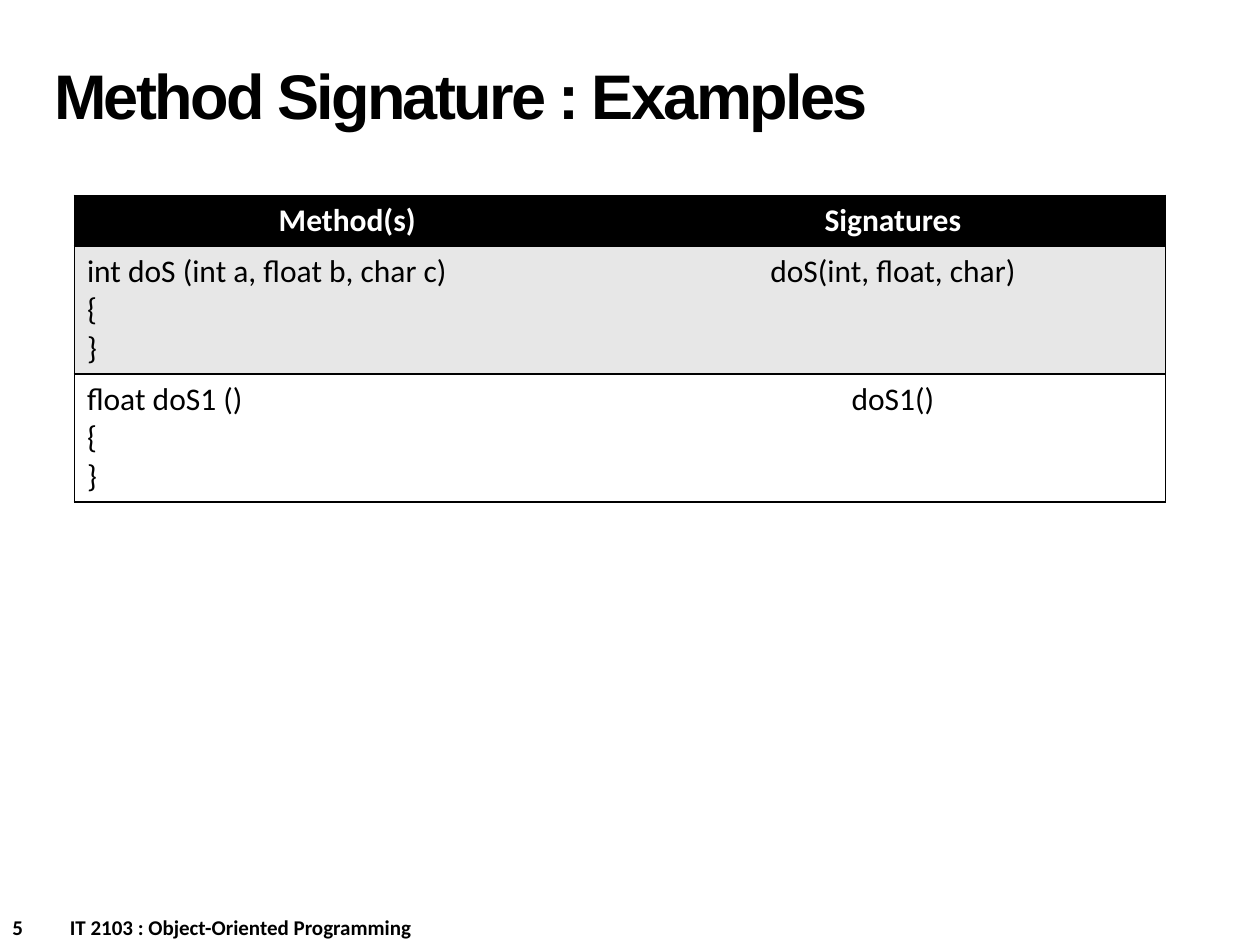
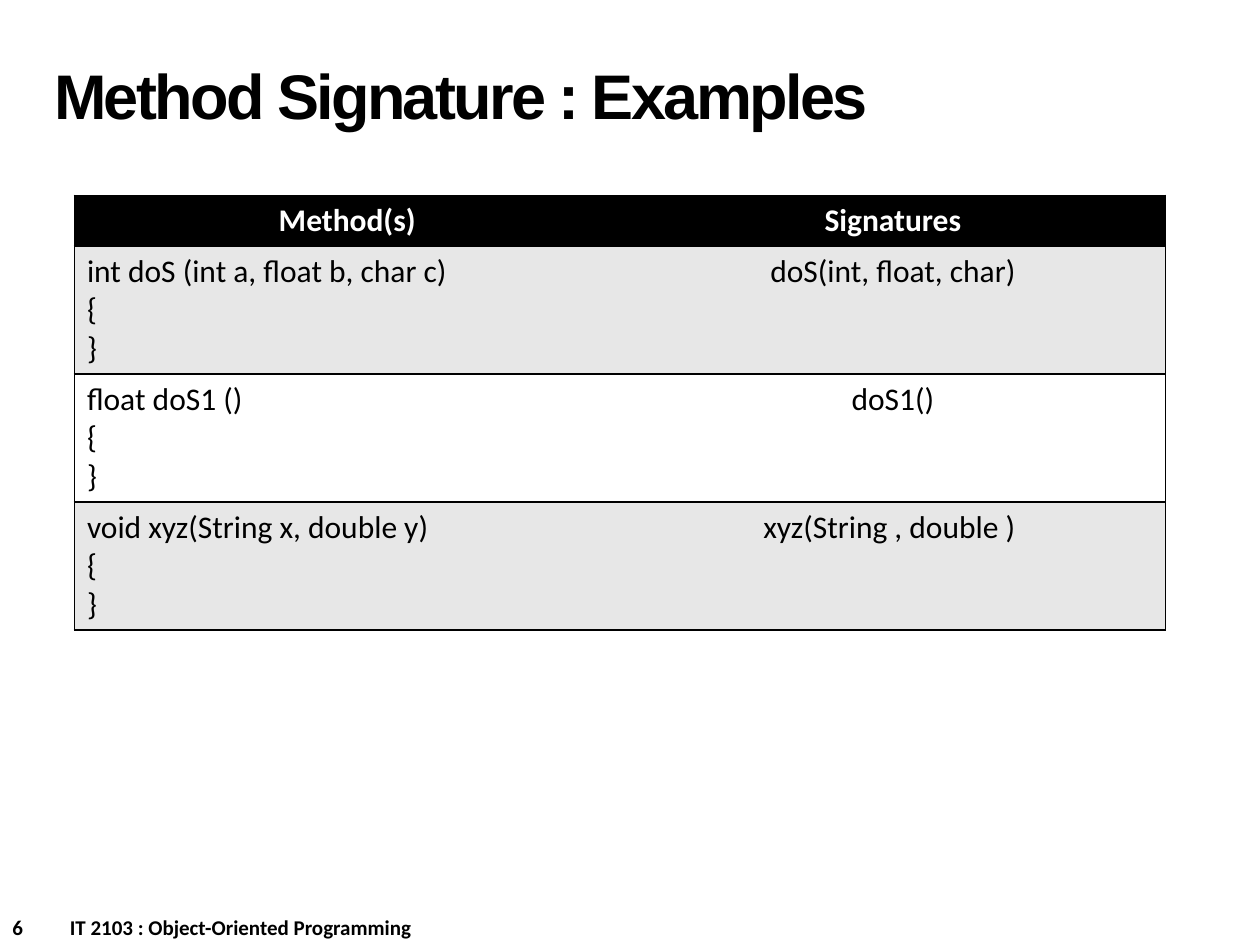
from pptx import Presentation
from pptx.dml.color import RGBColor
from pptx.enum.text import MSO_ANCHOR, PP_ALIGN
from pptx.oxml.ns import qn
from pptx.util import Cm, Pt
from lxml.etree import SubElement

COLORS = {"ink": "000000", "paper": "FFFFFF", "band": "E7E7E7"}
TITLE = "Method Signature : Examples"
COURSE = "IT 2103 : Object-Oriented Programming"
HEADINGS = ("Method(s)", "Signatures")
EXAMPLES = [
    ("int doS (int a, float b, char c)", "doS(int, float, char)"),
    ("float doS1 ()", "doS1()"),
    ("void xyz(String x, double y)", "xyz(String , double ) "),
]


def write(tf, text, size=18, font="Calibri", color="ink", bold=False,
          align=PP_ALIGN.LEFT, leading=None, spacing=None):
    """Fill a text frame, one paragraph for each line of text."""
    tf.word_wrap = True
    for i, line in enumerate(text.split("\n")):
        p = tf.add_paragraph() if i else tf.paragraphs[0]
        p.alignment = align
        if leading:
            p.line_spacing = Pt(leading)
        r = p.add_run()
        r.text = line
        r.font.size, r.font.name, r.font.bold = Pt(size), font, bold
        r.font.color.rgb = RGBColor.from_string(COLORS[color])
        if spacing:
            r._r.get_or_add_rPr().set("spc", str(int(spacing * 100)))


class Deck:
    def __init__(self):
        self.prs = Presentation()
        self.prs.slide_width, self.prs.slide_height = Cm(25.4), Cm(19.05)
        self.s = None

    def slide(self, number):
        self.s = self.prs.slides.add_slide(self.prs.slide_layouts[6])
        self.footer(number)
        self.title(TITLE)

    def text_box(self, left, top, width, height, text, **fmt):
        sp = self.s.shapes.add_textbox(Cm(left), Cm(top), Cm(width), Cm(height))
        write(sp.text_frame, text, **fmt)
        return sp.text_frame

    def title(self, text):
        tf = self.text_box(0.84, 0.43, 17.58, 3.18, text, size=36, font="Arial",
                           bold=True, leading=36, spacing=-1.5)
        tf.vertical_anchor = MSO_ANCHOR.MIDDLE

    def footer(self, number):
        tf = self.text_box(0, 18.31, 12.7, 0.76, f"{number}\t{COURSE}",
                           size=12, bold=True)
        # Tab stop that sets the course name apart from the number
        tabs = SubElement(tf.paragraphs[0]._p.get_or_add_pPr(), qn("a:tabLst"))
        SubElement(tabs, qn("a:tab"), pos=str(Cm(1.16)), algn="l")

    def border(self, cell, side, visible):
        ln = SubElement(cell._tc.get_or_add_tcPr(), qn(f"a:ln{side}"),
                        w=str(Pt(1)))
        if visible:
            fill = SubElement(ln, qn("a:solidFill"))
            SubElement(fill, qn("a:srgbClr"), val=COLORS["ink"])
        else:
            SubElement(ln, qn("a:noFill"))

    def cell(self, cell, text, fill, outer, **fmt):
        # Borders come before the fill in the cell properties
        for side in "LRTB":
            self.border(cell, side, side in outer + "TB")
        cell.fill.solid()
        cell.fill.fore_color.rgb = RGBColor.from_string(COLORS[fill])
        write(cell.text_frame, text, **fmt)

    def signature_table(self, examples):
        heights = [1.02] + [2.58] * len(examples)
        table = self.s.shapes.add_table(len(heights), 2, Cm(1.5), Cm(3.94),
                                        Cm(22), Cm(sum(heights))).table
        table.horz_banding = False
        for row, height in zip(table.rows, heights):
            row.height = Cm(height)

        # Header row
        for col, heading in enumerate(HEADINGS):
            self.cell(table.cell(0, col), heading, "ink", "LR"[col],
                      color="paper", bold=True, align=PP_ALIGN.CENTER)

        # Example rows, shaded in turn
        for row, (method, signature) in enumerate(examples, 1):
            fill = "band" if row % 2 else "paper"
            self.cell(table.cell(row, 0), method + "\n{\n}", fill, "L")
            self.cell(table.cell(row, 1), signature, fill, "R",
                      align=PP_ALIGN.CENTER)


def main():
    deck = Deck()
    # Each slide reveals one more example
    for number, shown in ((5, 2), (6, 3)):
        deck.slide(number)
        deck.signature_table(EXAMPLES[:shown])
    deck.prs.save("out.pptx")


if __name__ == "__main__":
    main()
